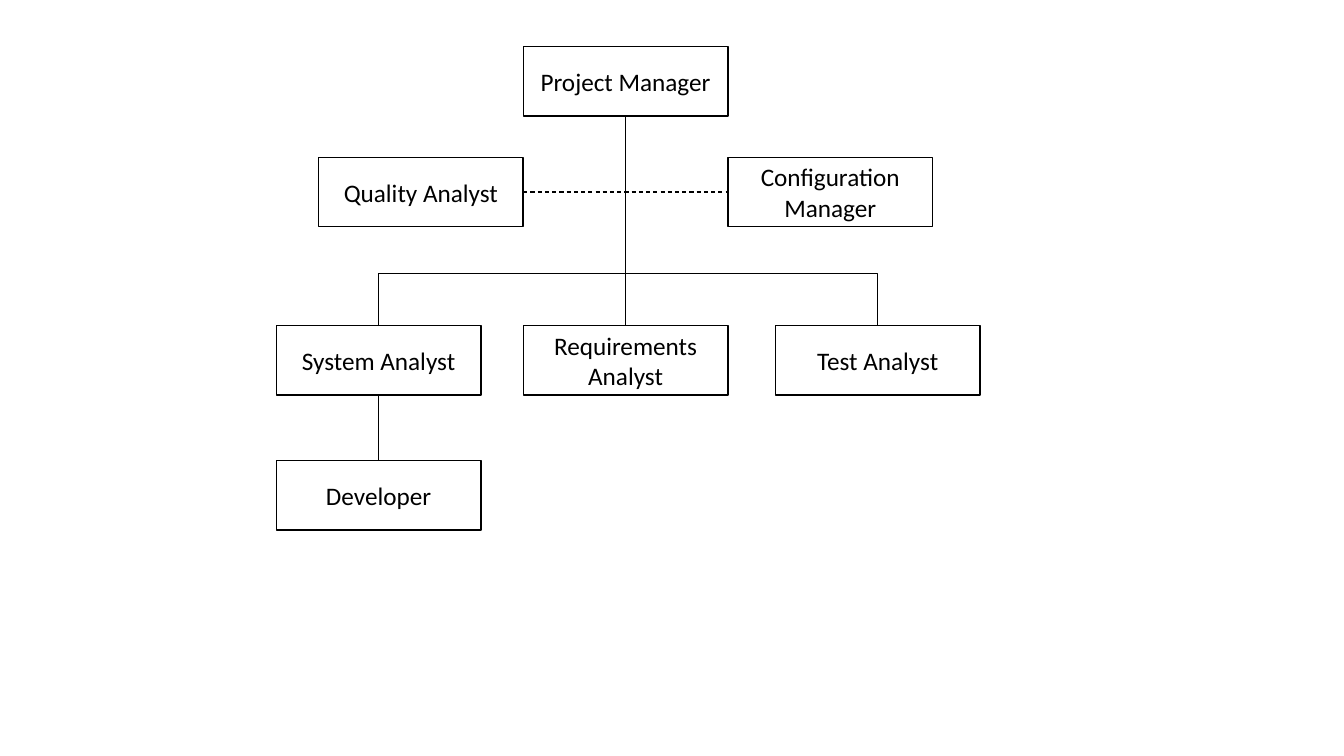
"""Build a project team organisation chart."""
import pptx
import pptx.dml.color
import pptx.enum.dml
import pptx.enum.shapes
import pptx.enum.text
import pptx.oxml
import pptx.util

Inches, Pt = pptx.util.Inches, pptx.util.Pt
LINE_KIND = pptx.enum.shapes.MSO_CONNECTOR

THEME = {
    "font": "Calibri",
    "size": Pt(18),
    "ink": pptx.dml.color.RGBColor(0, 0, 0),
    "paper": pptx.dml.color.RGBColor(255, 255, 255),
    "line": Pt(1),
    "thin": Pt(0.75),
}
BOX_WIDTH, BOX_HEIGHT = 2.03, 0.69
BUS_TOP = 2.7
LEFT, MIDDLE, RIGHT = 2.74, 5.19, 7.69
COLUMNS = {
    "left": LEFT,
    "middle": MIDDLE,
    "right": RIGHT,
    "staff left": MIDDLE - BOX_WIDTH,
    "staff right": MIDDLE + BOX_WIDTH,
}
ROWS = {"lead": 0.46, "staff": 1.56, "analysts": 3.23, "developers": 4.57}
ROLES = [
    ("Project Manager", "middle", "lead"),
    ("Quality Analyst", "staff left", "staff"),
    ("Configuration Manager", "staff right", "staff"),
    ("Requirements Analyst", "middle", "analysts"),
    ("Test Analyst", "right", "analysts"),
    ("System Analyst", "left", "analysts"),
    ("Developer", "left", "developers"),
]


def add_role(slide, title, column, row):
    box = slide.shapes.add_shape(
        pptx.enum.shapes.MSO_SHAPE.RECTANGLE,
        *map(Inches, (COLUMNS[column], ROWS[row], BOX_WIDTH, BOX_HEIGHT)),
    )
    box.shadow.inherit = False
    box.fill.solid()
    box.fill.fore_color.rgb = THEME["paper"]
    box.line.color.rgb = THEME["ink"]
    box.line.width = THEME["line"]
    frame = box.text_frame
    frame.word_wrap = True
    frame.vertical_anchor = pptx.enum.text.MSO_ANCHOR.MIDDLE
    para = frame.paragraphs[0]
    para.alignment = pptx.enum.text.PP_ALIGN.CENTER
    span = para.add_run()
    span.text = title
    span.font.name = THEME["font"]
    span.font.size = THEME["size"]
    span.font.color.rgb = THEME["ink"]


def add_link(slide, start, end, kind=LINE_KIND.STRAIGHT, width="line"):
    link = slide.shapes.add_connector(kind, *map(Inches, (*start, *end)))
    link.line.color.rgb = THEME["ink"]
    link.line.width = THEME[width]
    properties = link._element.spPr
    properties.append(properties.makeelement(pptx.oxml.ns.qn("a:effectLst"), {}))
    return link


def add_bus(slide, left, right, bottom, top):
    """Join two box tops with an elbow turned a quarter and raised to the bus."""
    depth, span = 0.01, right - left
    x, y = (left + right) / 2, bottom
    link = add_link(
        slide,
        (x + depth / 2, y + span / 2),
        (x - depth / 2, y - span / 2),
        LINE_KIND.ELBOW,
    )
    properties = link._element.spPr
    properties.xfrm.set("rot", str(90 * 60000))
    guides = properties.prstGeom.get_or_add_avLst()
    rise = round((bottom - top) / depth * 100000)
    guide = guides.makeelement(
        pptx.oxml.ns.qn("a:gd"), {"name": "adj1", "fmla": f"val {rise}"}
    )
    guides.append(guide)


deck = pptx.Presentation()
deck.slide_width, deck.slide_height = Inches(13.33), Inches(7.5)
page = deck.slides.add_slide(deck.slide_layouts[6])

for role in ROLES:
    add_role(page, *role)

center = {name: left + BOX_WIDTH / 2 for name, left in COLUMNS.items()}
bottom = {name: top + BOX_HEIGHT for name, top in ROWS.items()}
for column, upper, lower in [
    ("middle", "lead", "analysts"),
    ("left", "analysts", "developers"),
]:
    x = center[column]
    add_link(page, (x, bottom[upper]), (x, ROWS[lower]))
add_bus(page, center["left"], center["right"], ROWS["analysts"], BUS_TOP)
staff_y = ROWS["staff"] + BOX_HEIGHT / 2
advice = add_link(
    page, (MIDDLE, staff_y), (MIDDLE + BOX_WIDTH, staff_y), width="thin"
)
advice.line.dash_style = pptx.enum.dml.MSO_LINE.DASH

deck.save("out.pptx")
